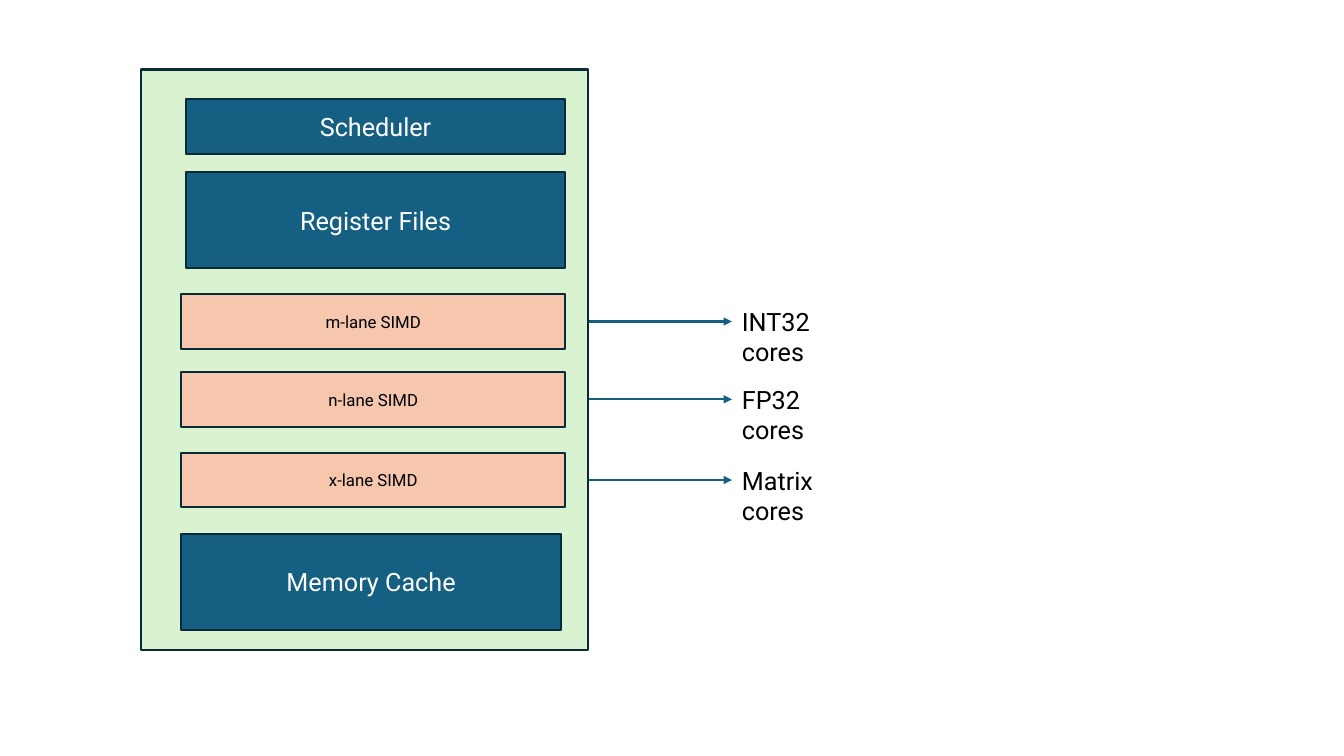
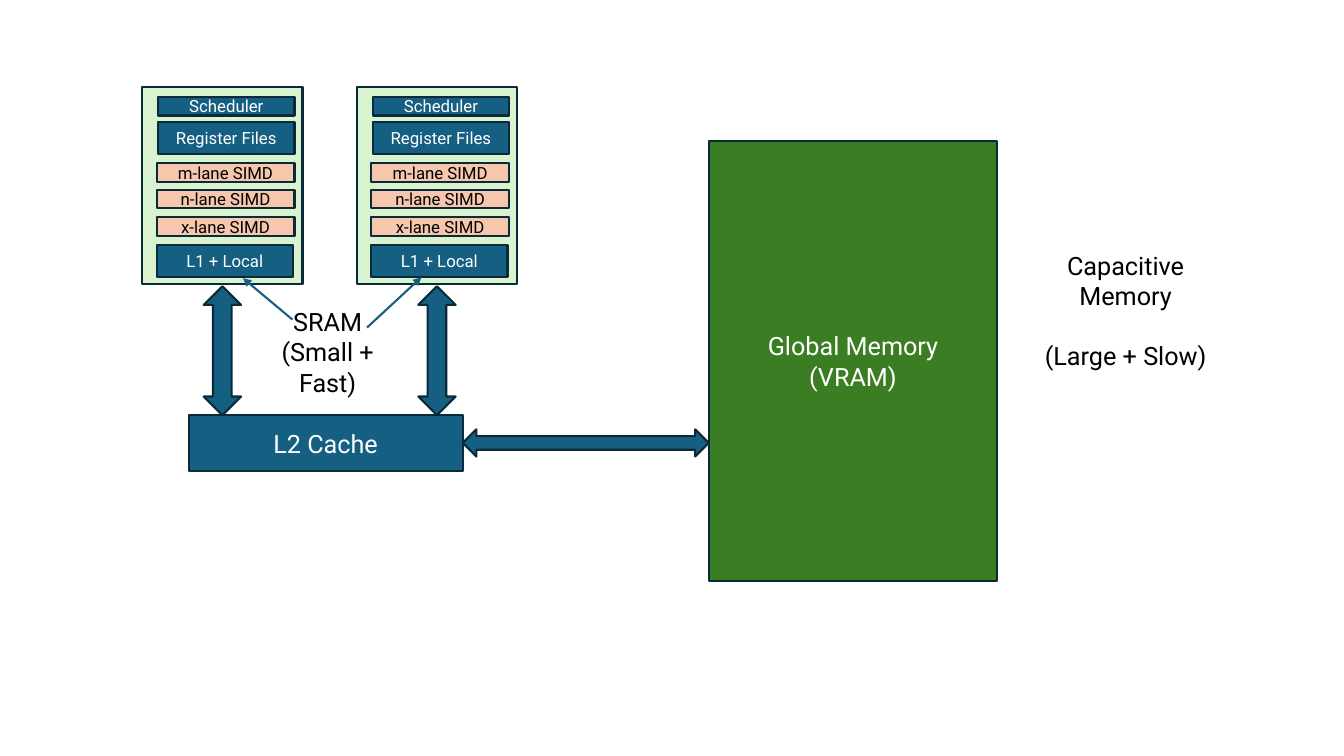
from lxml import etree
from pptx import Presentation
from pptx.dml.color import RGBColor
from pptx.enum.shapes import MSO_CONNECTOR, MSO_SHAPE
from pptx.enum.text import MSO_ANCHOR, PP_ALIGN
from pptx.oxml.ns import qn
from pptx.util import Inches, Pt

RECT = MSO_SHAPE.RECTANGLE
WIDE = MSO_SHAPE.LEFT_RIGHT_ARROW
TALL = MSO_SHAPE.UP_DOWN_ARROW
LINE = MSO_CONNECTOR.STRAIGHT
MID, TOP = MSO_ANCHOR.MIDDLE, MSO_ANCHOR.TOP
LEFT, CENTER = PP_ALIGN.LEFT, PP_ALIGN.CENTER

FONT = "Roboto"
HEX = {"blue": "156082", "edge": "092A39", "mint": "D9F2D0", "peach": "F6C6AD",
       "green": "3B7D23", "white": "FFFFFF", "black": "000000"}
BIG, SMALL = 18, 12
RIGHT = 3  # connection site on a rectangle's right side

# Bars of a core: text, fill, then left, top, width, height in % of the core
BARS = [
    ("Scheduler", "blue", (10, 5, 85, 9.6)),
    ("Register Files", "blue", (10, 17.7, 85, 16.5)),
    ("m-lane SIMD", "peach", (9, 38.7, 86, 9.4)),
    ("n-lane SIMD", "peach", (9, 52.1, 86, 9.4)),
    ("x-lane SIMD", "peach", (9, 66, 86, 9.4)),
    (None, "blue", (9, 80, 85, 16.5)),
]

# Boxes: left, top, width, height in % of the slide
CORE = (10.5, 9.2, 33.23, 76.8)
UNITS = {"m-lane SIMD": "INT32 cores", "n-lane SIMD": "FP32 cores",
         "x-lane SIMD": "Matrix cores"}
UNIT_X, UNIT_W, UNIT_H = 54.46, 10.5, 5.33

CORES = [(x, 11.47, 11.93, 26.13) for x in (10.58, 26.55)]
CACHE = (14.03, 54.93, 20.4, 7.33)
VRAM = (52.74, 18.67, 21.45, 58.13)
GAP = 0.27     # between a core and its arrow
THICK = (2.78, 3.6)  # tall arrow's width, wide arrow's height
NOTES = [
    (("Capacitive Memory", "(Large + Slow)"), (75.5, 32.4, 16.5, 13.47), 21.6),
    (("SRAM", "(Small + Fast)"), (18.38, 39.87, 12, 9.47), 0),
]
POINTERS = [((21.76, 42.27), (18.08, 36.8)), ((27.31, 43.33), (31.36, 36.67))]

deck = Presentation()
deck.slide_width, deck.slide_height = Inches(13.33), Inches(7.5)


def color(name):
    return RGBColor.from_string(HEX[name])


def scale(*vals):
    sides = (deck.slide_width, deck.slide_height)
    return [round(v * sides[i % 2] / 100) for i, v in enumerate(vals)]


def inside(box, part):
    x, y, w, h = box
    return (x + w * part[0] / 100, y + h * part[1] / 100,
            w * part[2] / 100, h * part[3] / 100)


def write(shape, lines, size, ink, align, anchor, gap=0):
    frame = shape.text_frame
    frame.word_wrap = True
    frame.vertical_anchor = anchor
    for i, line in enumerate(lines):
        para = frame.paragraphs[0] if i == 0 else frame.add_paragraph()
        para.alignment = align
        if i and gap:
            para.space_before = Pt(gap)
        run = para.add_run()
        run.text = line
        run.font.name, run.font.size = FONT, Pt(size)
        run.font.color.rgb = color(ink)


def block(slide, box, fill, lines=(), size=BIG, ink="white", kind=RECT):
    shape = slide.shapes.add_shape(kind, *scale(*box))
    shape.shadow.inherit = False
    shape.fill.solid()
    shape.fill.fore_color.rgb = color(fill)
    shape.line.color.rgb = color("edge")
    shape.line.width = Pt(1.5)
    if lines:
        write(shape, lines, size, ink, CENTER, MID)
        shape.text_frame.margin_top = shape.text_frame.margin_bottom = 0
    return shape


def label(slide, box, lines, align, gap=0):
    shape = slide.shapes.add_textbox(*scale(*box))
    write(shape, lines, BIG, "black", align, TOP, gap)


def arrow(slide, start, end):
    link = slide.shapes.add_connector(LINE, *scale(*start, *end))
    link.line.color.rgb = color("blue")
    link.line.width = Pt(1.5)
    etree.SubElement(link.line._get_or_add_ln(), qn("a:tailEnd"), type="triangle")
    etree.SubElement(link._element.spPr, qn("a:effectLst"))
    return link


def core(slide, box, last, size):
    block(slide, box, "mint")
    bars = {}
    for text, fill, part in BARS:
        text = text or last
        simd = fill == "peach"
        bars[text] = block(slide, inside(box, part), fill, [text],
                           SMALL if simd else size, "black" if simd else "white")
    return bars


def add_slide():
    return deck.slides.add_slide(deck.slide_layouts[6])


# Slide 1: one core, its lanes and the units they stand for
slide = add_slide()
links = {}
for text, fill, part in BARS:
    if text in UNITS:
        x, y, w, h = inside(CORE, part)
        mid = y + h / 2
        label(slide, (UNIT_X, mid - UNIT_H / 2, UNIT_W, UNIT_H), [UNITS[text]], LEFT)
        links[text] = arrow(slide, (x + w, mid), (UNIT_X, mid))
bars = core(slide, CORE, "Memory Cache", BIG)
for text, link in links.items():
    link.begin_connect(bars[text], RIGHT)

# Slide 2: cores, caches and global memory
slide = add_slide()
for box in CORES:
    core(slide, box, "L1 + Local", SMALL)
block(slide, CACHE, "blue", ["L2 Cache"])
block(slide, VRAM, "green", ["Global Memory", "(VRAM)"])

# Two-way arrows between them
wide, high = THICK
edge = CACHE[0] + CACHE[2]
mid = CACHE[1] + CACHE[3] / 2
block(slide, (edge, mid - high / 2, VRAM[0] - edge, high), "blue", kind=WIDE)
for x, y, w, h in CORES:
    top = y + h + GAP
    block(slide, (x + (w - wide) / 2, top, wide, CACHE[1] - top), "blue", kind=TALL)

# Notes and pointers
for lines, box, gap in NOTES:
    label(slide, box, lines, CENTER, gap)
for start, end in POINTERS:
    arrow(slide, start, end)

deck.save("out.pptx")
